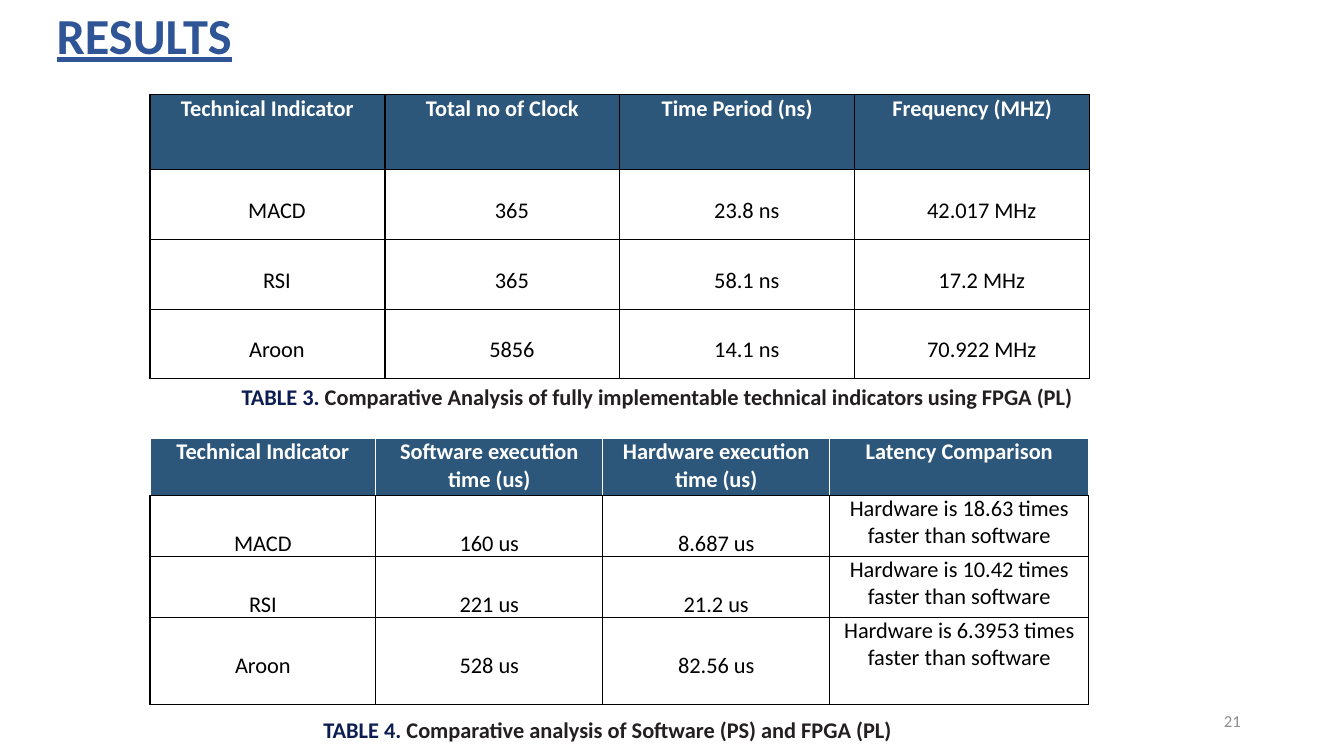
from lxml.etree import SubElement
from pptx import Presentation
from pptx.dml.color import RGBColor
from pptx.enum.text import MSO_ANCHOR, MSO_AUTO_SIZE, PP_ALIGN
from pptx.oxml.ns import qn
from pptx.util import Cm, Pt

NAVY, BLACK, WHITE = "2C567A", "000000", "FFFFFF"
LEFT = 3.78
INDENT = 0.48

CLOCK = [
    ("Technical Indicator", "Total no of Clock", "Time Period (ns)", "Frequency (MHZ)"),
    ("MACD", "365", "23.8 ns", "42.017 MHz"),
    ("RSI", "365", "58.1 ns", "17.2 MHz"),
    ("Aroon", "5856", "14.1 ns", "70.922 MHz"),
]
SPEED = [
    ("Technical Indicator", "Software execution time (us)",
     "Hardware execution time (us)", "Latency Comparison"),
    ("MACD", "160 us", "8.687 us", "Hardware is 18.63 times faster than software"),
    ("RSI", "221 us", "21.2 us", "Hardware is 10.42 times faster than software"),
    ("Aroon", "528 us", "82.56 us", "Hardware is 6.3953 times faster than software"),
]
TABLES = [
    dict(data=CLOCK, top=2.39, cols=[5.92] * 4, rows=[1.88, 1.76, 1.76, 1.74],
         edge=BLACK, head=0.97, body=2.0, indent=INDENT, drop=0),
    dict(data=SPEED, top=11.05, cols=[5.69, 5.72, 5.72, 6.53],
         rows=[1.43, 1.52, 1.53, 2.2],
         edge=WHITE, head=1.0, body=0.97, indent=0, drop=0.87),
]
NOTES = [
    ("TABLE 3. ", "Comparative Analysis of fully implementable technical indicators using FPGA (PL)",
     (5.36, 9.53, 22.23, 0.94), INDENT),
    ("TABLE 4. ", "Comparative analysis of Software (PS) and FPGA (PL)",
     (7.9, 17.91, 14.91, 0.94), 0),
]


def paint(color):
    return RGBColor.from_string(color)


def write(frame, text, size=16, color=BLACK, bold=False, line=False,
          align=PP_ALIGN.LEFT, space=None, after=0, indent=0):
    par = frame.paragraphs[0]
    par.alignment = align
    par.line_spacing = space
    par.space_after = Pt(after)
    if indent:
        par._p.get_or_add_pPr().set("indent", str(Cm(indent)))
    run = par.add_run()
    run.text = text
    font = run.font
    font.name, font.size = "Calibri", Pt(size)
    font.bold, font.underline = bold, line
    font.color.rgb = paint(color)


def place(shape, box):
    shape.left, shape.top, shape.width, shape.height = map(Cm, box)


def add_box(slide, box, wrap):
    frame = slide.shapes.add_textbox(*map(Cm, box)).text_frame
    frame.word_wrap = wrap
    frame.vertical_anchor = MSO_ANCHOR.MIDDLE
    return frame


def border(cell, colors):
    props = cell._tc.get_or_add_tcPr()
    for side, color in zip("LRTB", colors):
        edge = SubElement(props, qn(f"a:ln{side}"), w=str(Pt(1)))
        fill = SubElement(edge, qn("a:solidFill"))
        SubElement(fill, qn("a:srgbClr"), val=color)


def add_grid(slide, data, top, cols, rows, edge, head, body, indent, drop):
    box = map(Cm, (LEFT, top, sum(cols), sum(rows)))
    grid = slide.shapes.add_table(len(rows), len(cols), *box).table
    grid.horz_banding = False
    for col, width in zip(grid.columns, cols):
        col.width = Cm(width)
    for r, (row, height) in enumerate(zip(grid.rows, rows)):
        row.height = Cm(height)
        first = r == 0
        for c, (cell, text) in enumerate(zip(row.cells, data[r])):
            low = not first and c < len(cols) - 1
            cell.margin_left = cell.margin_right = Cm(0.18)
            cell.margin_top = Cm(drop if low else 0)
            cell.margin_bottom = 0
            border(cell, [edge] * 3 + [BLACK] if first else [BLACK] * 4)
            cell.fill.solid()
            cell.fill.fore_color.rgb = paint(NAVY if first else WHITE)
            write(cell.text_frame, text, color=WHITE if first else BLACK,
                  bold=first, align=PP_ALIGN.CENTER, after=5.8,
                  space=head if first else body, indent=0 if first else indent)


def main():
    deck = Presentation()
    deck.slide_width, deck.slide_height = Cm(33.87), Cm(19.05)
    slide = deck.slides.add_slide(deck.slide_layouts[5])
    title = slide.shapes.title
    place(title, (1.17, -0.03, 5.18, 1.8))
    frame = title.text_frame
    frame.vertical_anchor = MSO_ANCHOR.TOP
    frame.auto_size = MSO_AUTO_SIZE.NONE
    write(frame, "RESULTS", size=36, color="2F5597", bold=True, line=True)
    for table in TABLES:
        add_grid(slide, **table)
    for label, text, box, indent in NOTES:
        frame = add_box(slide, box, False)
        write(frame, label, color="0D1D51", bold=True, indent=indent)
        write(frame, text, color="231F20", bold=True, indent=indent)
    write(add_box(slide, (30.43, 17.65, 1.09, 1.02), True), "21",
          size=12, color="8C8C8C", align=PP_ALIGN.RIGHT)
    deck.save("out.pptx")


if __name__ == "__main__":
    main()
